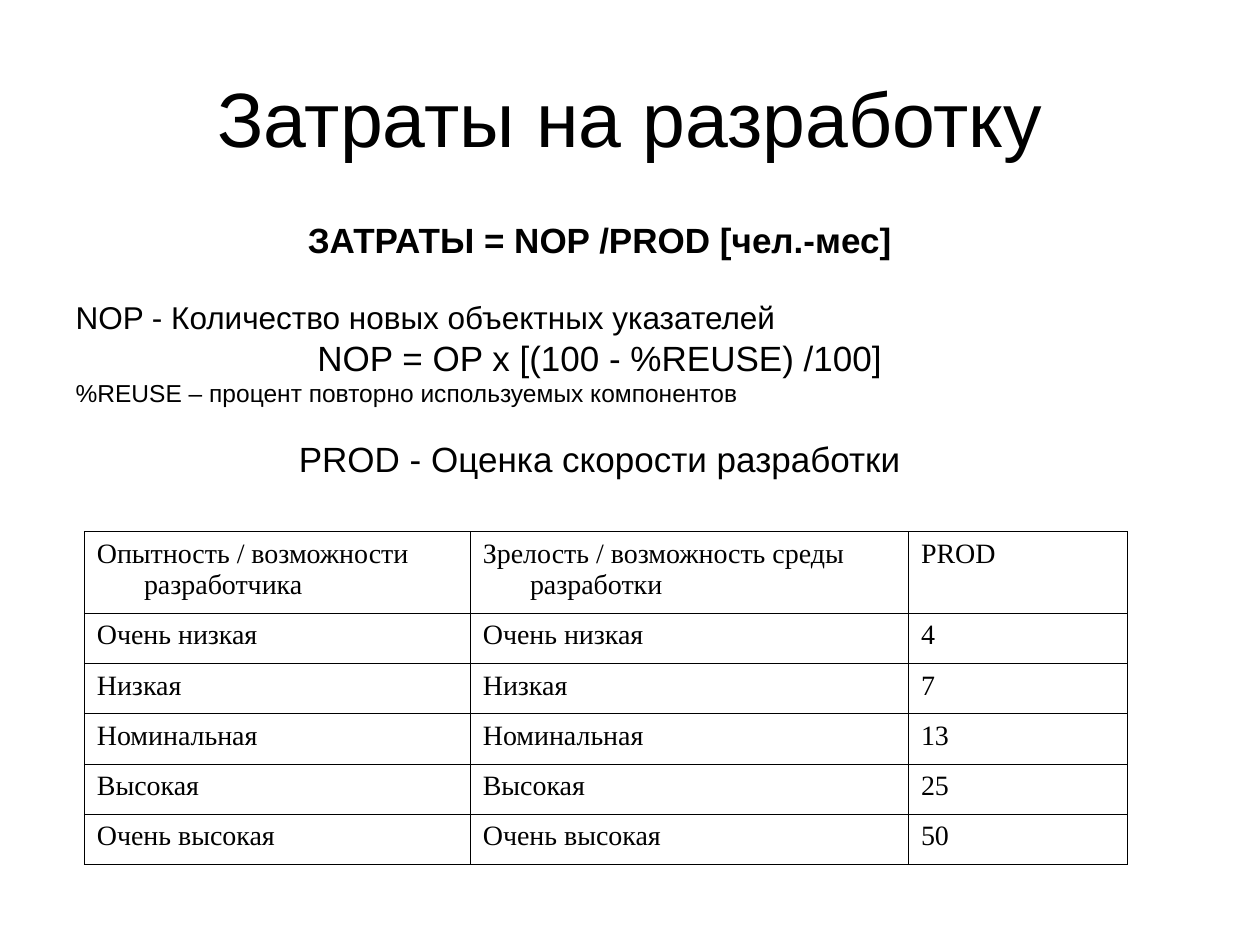
from lxml import etree
from pptx import Presentation
from pptx import util as u
from pptx.dml.color import RGBColor
from pptx.enum import text
from pptx.oxml.ns import qn

INK = "000000"
HANGING = u.Cm(0.95)
LEFT, CENTER = text.PP_ALIGN.LEFT, text.PP_ALIGN.CENTER

# text, size, alignment, bold, space before
FORMULAS = [
    ("ЗАТРАТЫ = NOP /PROD [чел.-мес]", 20, CENTER, True, 5),
    ("NOP - Количество новых объектных указателей", 18, LEFT, False, 25.5),
    ("NOP = OP х [(100 - %REUSE) /100]", 20, CENTER, False, 5),
    ("%REUSE – процент повторно используемых компонентов", 14, LEFT, False, 3.5),
    ("PROD - Оценка скорости разработки", 20, CENTER, False, 21.5),
]
HEADINGS = ("Опытность / возможности разработчика",
            "Зрелость / возможность среды разработки", "PROD")
PRODUCTIVITY = {"Очень низкая": 4, "Низкая": 7, "Номинальная": 13,
                "Высокая": 25, "Очень высокая": 50}


def color(hex_string):
    return RGBColor.from_string(hex_string)


def format_paragraph(paragraph, font_name, size, alignment=LEFT, bold=False):
    paragraph.alignment = alignment
    for run in paragraph.runs:
        run.font.name = font_name
        run.font.size = u.Pt(size)
        run.font.bold = bold
        run.font.color.rgb = color(INK)


def hang(paragraph):
    """Give the paragraph a hanging indent without a bullet."""
    properties = paragraph._p.get_or_add_pPr()
    properties.set("marL", str(HANGING))
    properties.set("indent", str(-HANGING))
    etree.SubElement(properties, qn("a:buNone"))


def place(shape, box):
    shape.left, shape.top, shape.width, shape.height = map(u.Cm, box)


def fill_title(shape, box):
    place(shape, box)
    frame = shape.text_frame
    frame.text = "Затраты на разработку"
    frame.auto_size = text.MSO_AUTO_SIZE.NONE
    frame.vertical_anchor = text.MSO_ANCHOR.MIDDLE
    format_paragraph(frame.paragraphs[0], "Arial", 44, CENTER)


def fill_formulas(shape, box):
    place(shape, box)
    frame = shape.text_frame
    frame.text = "\n".join(row[0] for row in FORMULAS)
    frame.auto_size = text.MSO_AUTO_SIZE.NONE
    frame.vertical_anchor = text.MSO_ANCHOR.TOP
    for paragraph, (_, size, alignment, bold, gap) in zip(frame.paragraphs, FORMULAS):
        format_paragraph(paragraph, "Arial", size, alignment, bold)
        paragraph.line_spacing = 0.8
        paragraph.space_before = u.Pt(gap)
        hang(paragraph)


def outline_cell(cell, hex_string, width):
    properties = cell._tc.get_or_add_tcPr()
    for position, side in enumerate(("a:lnL", "a:lnR", "a:lnT", "a:lnB")):
        line = etree.Element(qn(side), w=str(u.Pt(width)))
        fill = etree.SubElement(line, qn("a:solidFill"))
        etree.SubElement(fill, qn("a:srgbClr"), val=hex_string)
        properties.insert(position, line)


def add_productivity_table(slide, box):
    rows = [HEADINGS] + [(level, level, str(rate)) for level, rate in PRODUCTIVITY.items()]
    table = slide.shapes.add_table(len(rows), len(HEADINGS), *map(u.Cm, box)).table
    table.first_row = table.horz_banding = False
    width, height = box[2:]
    for column, share in zip(table.columns, (0.37, 0.42, 0.21)):
        column.width = u.Cm(width * share)
    heading_height = 1.65
    row_height = (height - heading_height) / len(PRODUCTIVITY)
    for index, (row, values) in enumerate(zip(table.rows, rows)):
        row.height = u.Cm(row_height if index else heading_height)
        for cell, value in zip(row.cells, values):
            cell.text = value
            cell.fill.background()
            outline_cell(cell, INK, 0.45)
            paragraph = cell.text_frame.paragraphs[0]
            format_paragraph(paragraph, "Times New Roman", 16)
            hang(paragraph)


def main():
    presentation = Presentation()
    presentation.slide_width, presentation.slide_height = u.Cm(25.4), u.Cm(19.05)
    slide = presentation.slides.add_slide(presentation.slide_layouts[1])
    fill_title(slide.shapes.title, (1.27, 0.76, 22.86, 3.18))
    fill_formulas(slide.placeholders[1], (1.27, 4.45, 21.64, 5.87))
    add_productivity_table(slide, (1.7, 10.72, 21.03, 6.7))
    presentation.save("out.pptx")


if __name__ == "__main__":
    main()
